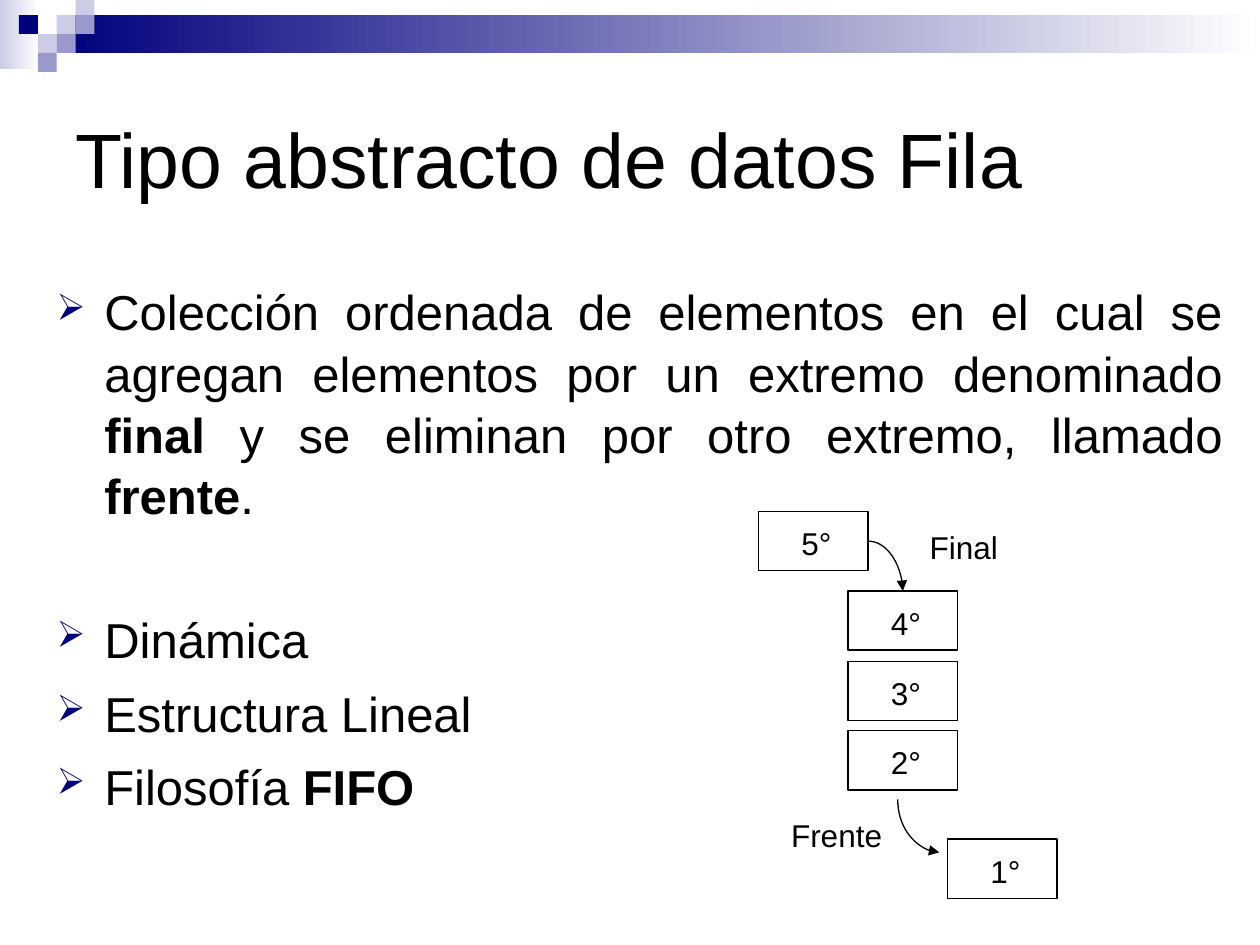
from dataclasses import dataclass

from lxml.etree import SubElement
from pptx import Presentation
from pptx.dml.color import RGBColor
from pptx.enum.shapes import MSO_CONNECTOR, MSO_SHAPE
from pptx.enum.text import MSO_ANCHOR, PP_ALIGN
from pptx.oxml.ns import qn
from pptx.util import Inches, Pt


@dataclass(frozen=True)
class Theme:
    font: str = "Arial"
    ink: RGBColor = RGBColor(0, 0, 0)
    white: RGBColor = RGBColor(255, 255, 255)
    navy: RGBColor = RGBColor.from_string("00007D")
    lilac: RGBColor = RGBColor.from_string("CCCCE6")
    violet: RGBColor = RGBColor.from_string("9999CC")
    title: Pt = Pt(44)
    body: Pt = Pt(28)
    label: Pt = Pt(18)
    outline: Pt = Pt(0.75)


theme = Theme()


def add_span(para, text, size, bold=False):
    span = para.add_run()
    span.text = text
    span.font.name = theme.font
    span.font.size = size
    span.font.bold = bold
    span.font.color.rgb = theme.ink


def add_rectangle(left, top, width, height):
    box = page.shapes.add_shape(
        MSO_SHAPE.RECTANGLE, Inches(left), Inches(top), Inches(width), Inches(height)
    )
    box.shadow.inherit = False
    box.line.fill.background()
    return box


deck = Presentation()
deck.slide_width = Inches(10)
deck.slide_height = Inches(7.5)
page = deck.slides.add_slide(deck.slide_layouts[6])

for left, top, width, height, color in [
    (0, -0.03, 0.31, 0.58, theme.lilac),
    (0.45, 0.12, 9.55, 0.3, theme.navy),
]:
    band = add_rectangle(left, top, width, height)
    band.fill.gradient()
    band.fill.gradient_angle = 0
    for stop, stop_color in zip(band.fill.gradient_stops, (color, theme.white)):
        stop.color.rgb = stop_color

tile_size = 0.15
for column, row, color in [
    (3, 1, theme.lilac),
    (4, 0, theme.lilac),
    (4, 1, theme.violet),
    (2, 2, theme.lilac),
    (1, 1, theme.navy),
    (3, 2, theme.violet),
    (2, 3, theme.violet),
]:
    tile = add_rectangle(column * tile_size, row * tile_size - 0.03, tile_size, tile_size)
    tile.fill.solid()
    tile.fill.fore_color.rgb = color

title = page.shapes.add_textbox(Inches(0.5), Inches(0.5), Inches(9), Inches(1.5))
title.text_frame.word_wrap = True
title.text_frame.vertical_anchor = MSO_ANCHOR.MIDDLE
add_span(title.text_frame.paragraphs[0], "Tipo abstracto de datos Fila", theme.title)

body = page.shapes.add_textbox(Inches(0.35), Inches(2.17), Inches(9.45), Inches(4.73))
body.text_frame.word_wrap = True
points = [
    (0, [
        ("Colección ordenada de elementos en el cual se agregan elementos "
         "por un extremo denominado ", False),
        ("final", True),
        (" y se eliminan por otro extremo, llamado ", False),
        ("frente", True),
        (".", False),
    ]),
    (47.5, [("Dinámica", False)]),
    (7, [("Estructura Lineal", False)]),
    (7, [("Filosofía ", False), ("FIFO", True)]),
]
for index, (space_before, spans) in enumerate(points):
    para = body.text_frame.add_paragraph() if index else body.text_frame.paragraphs[0]
    para.alignment = PP_ALIGN.JUSTIFY
    para.line_spacing = 1.04
    para.space_before = Pt(space_before)
    properties = para._p.get_or_add_pPr()
    properties.set("marL", str(Inches(0.38)))
    properties.set("indent", str(-Inches(0.38)))
    bullet_color = SubElement(properties, qn("a:buClr"))
    SubElement(bullet_color, qn("a:srgbClr"), val=str(theme.navy))
    SubElement(properties, qn("a:buSzPct"), val="75000")
    SubElement(properties, qn("a:buChar"), char="➢")
    for text, bold in spans:
        add_span(para, text, theme.body, bold)

queue = {}
for name, left, top in [
    ("1°", 7.52, 6.66),
    ("2°", 6.73, 5.8),
    ("3°", 6.73, 5.25),
    ("4°", 6.73, 4.69),
    ("5°", 6.02, 4.06),
]:
    box = add_rectangle(left, top, 0.87, 0.47)
    box.fill.background()
    box.line.color.rgb = theme.ink
    box.line.width = theme.outline
    frame = box.text_frame
    frame.word_wrap = False
    frame.vertical_anchor = MSO_ANCHOR.MIDDLE
    frame.margin_left, frame.margin_right = Inches(0.05), 0
    frame.margin_top, frame.margin_bottom = Inches(0.03), 0
    frame.paragraphs[0].alignment = PP_ALIGN.CENTER
    add_span(frame.paragraphs[0], name, theme.label)
    queue[name] = box

arrows = []
for left, top, width, height in [(6.89, 4.3, 0.28, 0.39), (7.08, 6.39, 0.42, 0.33)]:
    arrow = page.shapes.add_connector(
        MSO_CONNECTOR.CURVE,
        Inches(left), Inches(top), Inches(left + width), Inches(top + height),
    )
    arrow.line.color.rgb = theme.ink
    arrow.line.width = theme.outline
    properties = arrow._element.spPr
    properties.find(qn("a:prstGeom")).set("prst", "curvedConnector2")
    SubElement(properties.find(qn("a:ln")), qn("a:tailEnd"), type="triangle")
    SubElement(properties, qn("a:effectLst"))
    arrows.append(arrow)

enter_arrow, leave_arrow = arrows
enter_arrow.begin_connect(queue["5°"], 3)
enter_arrow.end_connect(queue["4°"], 0)
leave_transform = leave_arrow._element.spPr.find(qn("a:xfrm"))
leave_transform.set("rot", str(270 * 60000))
leave_transform.set("flipH", "1")

for text, left, top, width in [("Final", 7.28, 4.14, 0.74), ("Frente", 6.18, 6.43, 0.92)]:
    label = page.shapes.add_textbox(Inches(left), Inches(top), Inches(width), Inches(0.4))
    label.text_frame.word_wrap = False
    add_span(label.text_frame.paragraphs[0], text, theme.label)

deck.save("out.pptx")
